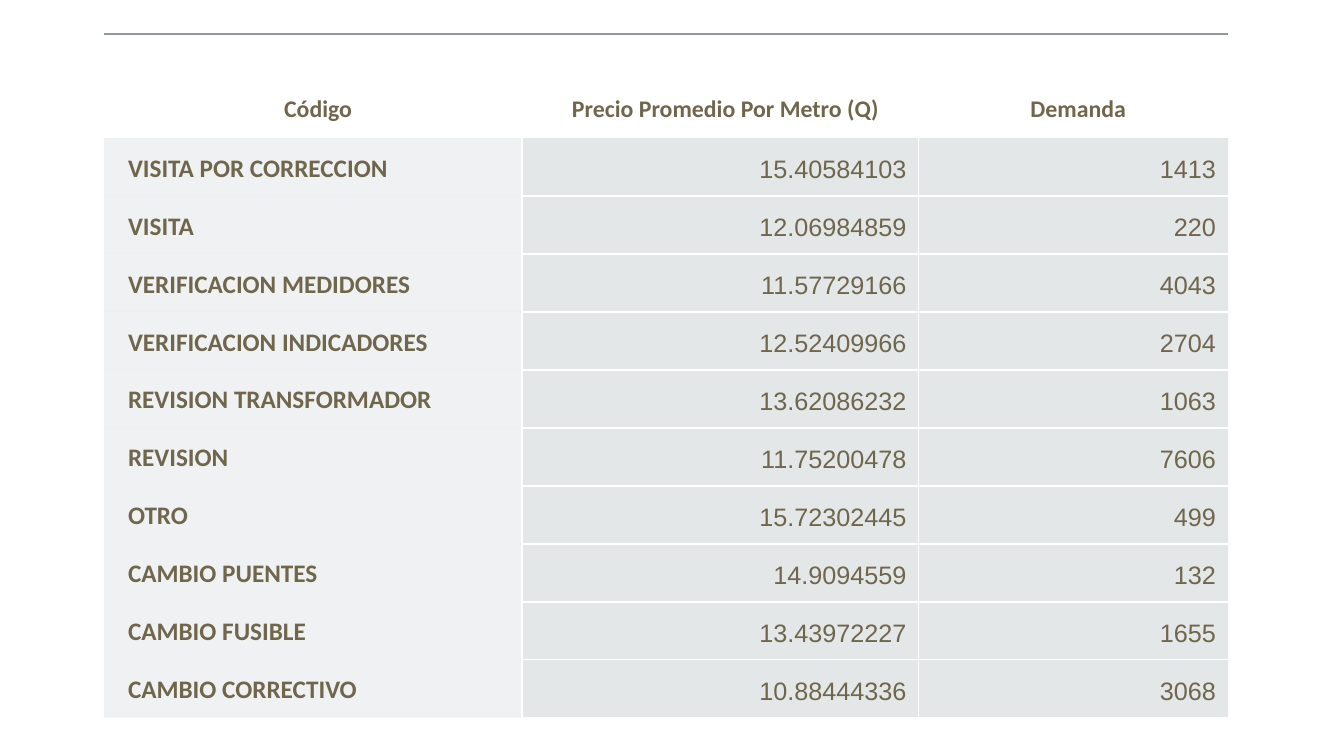
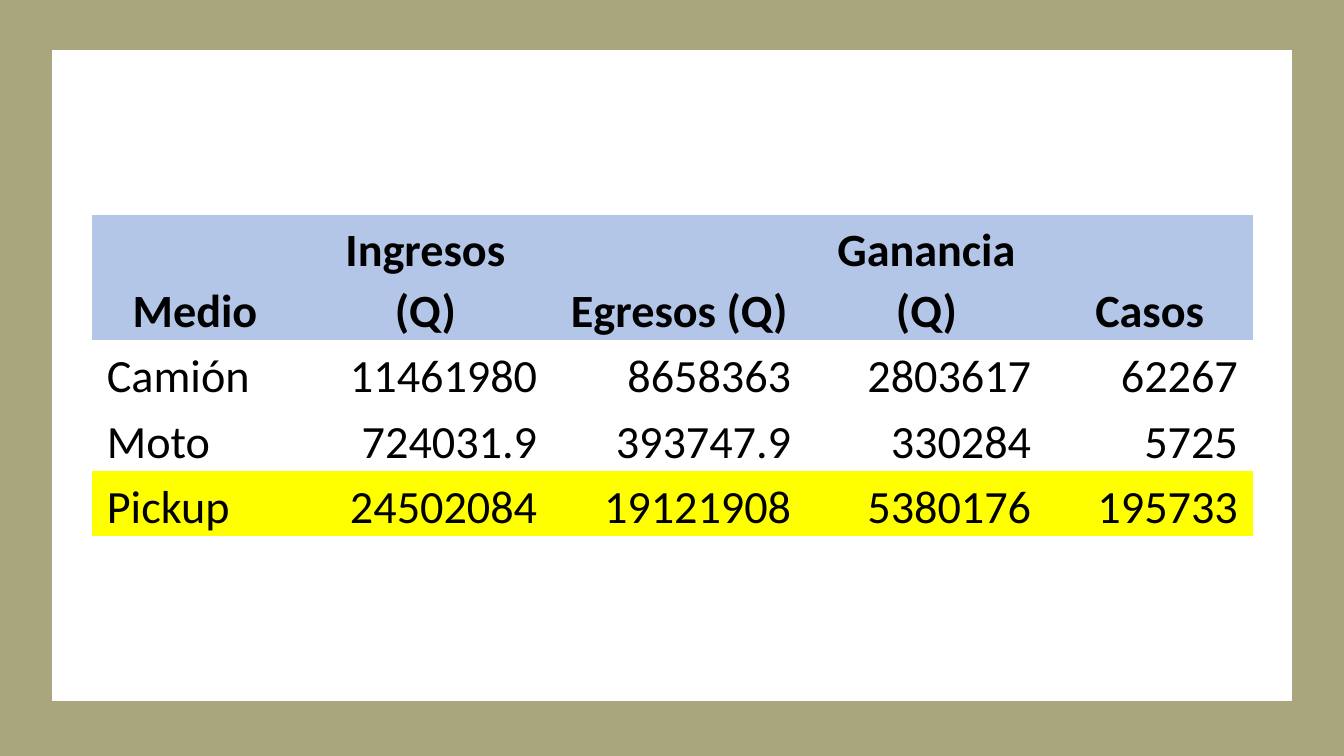
from dataclasses import dataclass

from lxml import etree
from pptx import Presentation
from pptx.dml.color import RGBColor
from pptx.enum.shapes import MSO_SHAPE
from pptx.enum.text import MSO_ANCHOR, PP_ALIGN
from pptx.oxml.ns import qn
from pptx.util import Inches, Pt

RECTANGLE = MSO_SHAPE.RECTANGLE
BOTTOM = MSO_ANCHOR.BOTTOM
LEFT, CENTER, RIGHT = PP_ALIGN.LEFT, PP_ALIGN.CENTER, PP_ALIGN.RIGHT
NO_GRID_STYLE = "{2D5ABB26-0587-4C30-8999-92F81FD0307C}"
EDGES = {"left": "a:lnL", "top": "a:lnT", "bottom": "a:lnB"}


@dataclass(frozen=True)
class Theme:
    # Colours
    white: str = "FFFFFF"
    black: str = "000000"
    olive: str = "A9A57C"
    brown: str = "6F664C"
    rule: str = "8F9A9D"
    grey: str = "B4BCBE"
    blue: str = "B4C6E7"
    yellow: str = "FFFF00"
    # Fonts, type sizes and line widths
    text_font: str = "Calibri"
    number_font: str = "Arial"
    header_size: int = 17
    body_size: int = 18
    large_size: int = 33
    line_spacing: float = 1.07
    border_width: float = 1.5
    frame_width: float = 0.85


@dataclass(frozen=True)
class CellStyle:
    size: int
    color: str
    margins: tuple
    font: str = Theme.text_font
    bold: bool = False
    align: int = LEFT
    fill: str = ""
    opacity: int = 100
    borders: tuple = ()  # (edge, colour, opacity)


class SlideWriter:
    def __init__(self, theme):
        self.theme = theme
        self.deck = Presentation()
        self.deck.slide_width, self.deck.slide_height = Inches(13.33), Inches(7.5)
        self.slide = None

    def new_slide(self):
        self.slide = self.deck.slides.add_slide(self.deck.slide_layouts[6])

    def rectangle(self, left, top, width, height, fill, line=None):
        box = self.slide.shapes.add_shape(
            RECTANGLE, Inches(left), Inches(top), Inches(width), Inches(height))
        box.shadow.inherit = False
        box.fill.solid()
        box.fill.fore_color.rgb = RGBColor.from_string(fill)
        if line:
            box.line.color.rgb = RGBColor.from_string(line)
            box.line.width = Pt(self.theme.frame_width)
        else:
            box.line.fill.background()

    def table(self, left, top, widths, heights, rows, style_for):
        frame = self.slide.shapes.add_table(
            len(rows), len(widths), Inches(left), Inches(top),
            Inches(sum(widths)), Inches(sum(heights)))
        table = frame.table
        table.first_row = table.horz_banding = False
        table._tbl.tblPr.find(qn("a:tableStyleId")).text = NO_GRID_STYLE
        for column, width in zip(table.columns, widths):
            column.width = Inches(width)
        for row, height in zip(table.rows, heights):
            row.height = Inches(height)
        for row_index, values in enumerate(rows):
            for column_index, value in enumerate(values):
                self.cell(table.cell(row_index, column_index), value,
                          style_for(row_index, column_index))

    def cell(self, cell, text, style):
        left, top, right, bottom = map(Inches, style.margins)
        cell_format = {"margin_left": left, "margin_top": top, "margin_right": right,
                       "margin_bottom": bottom, "vertical_anchor": BOTTOM}
        para = cell.text_frame.paragraphs[0]
        span = para.add_run()
        span.text = text
        para_format = {"alignment": style.align, "line_spacing": self.theme.line_spacing}
        font_format = {"name": style.font, "size": Pt(style.size), "bold": style.bold}
        for target, values in ((cell, cell_format), (para, para_format),
                               (span.font, font_format)):
            for name, value in values.items():
                setattr(target, name, value)
        span.font.color.rgb = RGBColor.from_string(style.color)
        self.cell_fill(cell, style)
        self.cell_borders(cell, style.borders)

    def cell_fill(self, cell, style):
        if not style.fill:
            cell.fill.background()
            return
        cell.fill.solid()
        cell.fill.fore_color.rgb = RGBColor.from_string(style.fill)
        color = cell._tc.tcPr.find(qn("a:solidFill")).find(qn("a:srgbClr"))
        self.set_opacity(color, style.opacity)

    def cell_borders(self, cell, borders):
        # Borders come before the fill, in the order left, top, bottom
        for index, (edge, color, opacity) in enumerate(borders):
            line = etree.Element(qn(EDGES[edge]), w=str(Pt(self.theme.border_width)))
            fill = etree.SubElement(line, qn("a:solidFill"))
            self.set_opacity(etree.SubElement(fill, qn("a:srgbClr"), val=color), opacity)
            cell._tc.tcPr.insert(index, line)

    @staticmethod
    def set_opacity(color, percent):
        if percent < 100:
            etree.SubElement(color, qn("a:alpha"), val=str(percent * 1000))

    def save(self):
        self.deck.save("out.pptx")


def price_slide(writer):
    theme = writer.theme
    rows = [
        ("Código", "Precio Promedio Por Metro (Q)", "Demanda"),
        ("VISITA POR CORRECCION", "15.40584103", "1413"),
        ("VISITA", "12.06984859", "220"),
        ("VERIFICACION MEDIDORES", "11.57729166", "4043"),
        ("VERIFICACION INDICADORES", "12.52409966", "2704"),
        ("REVISION TRANSFORMADOR", "13.62086232", "1063"),
        ("REVISION", "11.75200478", "7606"),
        ("OTRO", "15.72302445", "499"),
        ("CAMBIO PUENTES", "14.9094559", "132"),
        ("CAMBIO FUSIBLE", "13.43972227", "1655"),
        ("CAMBIO CORRECTIVO", "10.88444336", "3068"),
    ]
    body = {"size": theme.body_size, "color": theme.brown, "fill": theme.grey,
            "margins": (0.24, 0.12, 0.12, 0.12)}

    def style_for(row, column):
        if row == 0:
            return CellStyle(theme.header_size, theme.brown, (0.24, 0.14, 0.14, 0.14),
                             bold=True, align=CENTER, borders=(("top", theme.rule, 60),))
        if column == 0:
            return CellStyle(**body, bold=True, opacity=20)
        edges = ["left"] * (column == 1) + ["top"] * (row > 1) + ["bottom"]
        return CellStyle(**body, font=theme.number_font, align=RIGHT, opacity=35,
                         borders=tuple((edge, theme.white, 100) for edge in edges))

    writer.new_slide()
    header_height, table_height = 1.03, 6.78
    body_count = len(rows) - 1
    body_height = (table_height - header_height) / body_count
    writer.table(1.03, 0.34, [4.15, 3.93, 3.07],
                 [header_height] + [body_height] * body_count, rows, style_for)


def vehicle_slide(writer):
    theme = writer.theme
    rows = [
        ("Medio", "Ingresos (Q)", "Egresos (Q)", "Ganancia (Q)", "Casos"),
        ("Camión", "11461980", "8658363", "2803617", "62267"),
        ("Moto", "724031.9", "393747.9", "330284", "5725"),
        ("Pickup", "24502084", "19121908", "5380176", "195733"),
    ]
    row_fills = {0: theme.blue, 3: theme.yellow}

    def style_for(row, column):
        align = CENTER if row == 0 else RIGHT if column else LEFT
        return CellStyle(theme.large_size, theme.black, (0.15, 0.03, 0.15, 0),
                         bold=row == 0, align=align, fill=row_fills.get(row, ""))

    writer.new_slide()
    # Olive frame around a white panel
    writer.rectangle(0, 0, 13.33, 7.5, theme.olive)
    writer.rectangle(0.52, 0.5, 12.29, 6.45, theme.white, theme.white)
    writer.table(0.91, 2.13, [2.05, 2.52, 2.52, 2.38, 2.05],
                 [1.24] + [0.65] * 3, rows, style_for)


def main():
    writer = SlideWriter(Theme())
    price_slide(writer)
    vehicle_slide(writer)
    writer.save()


if __name__ == "__main__":
    main()
